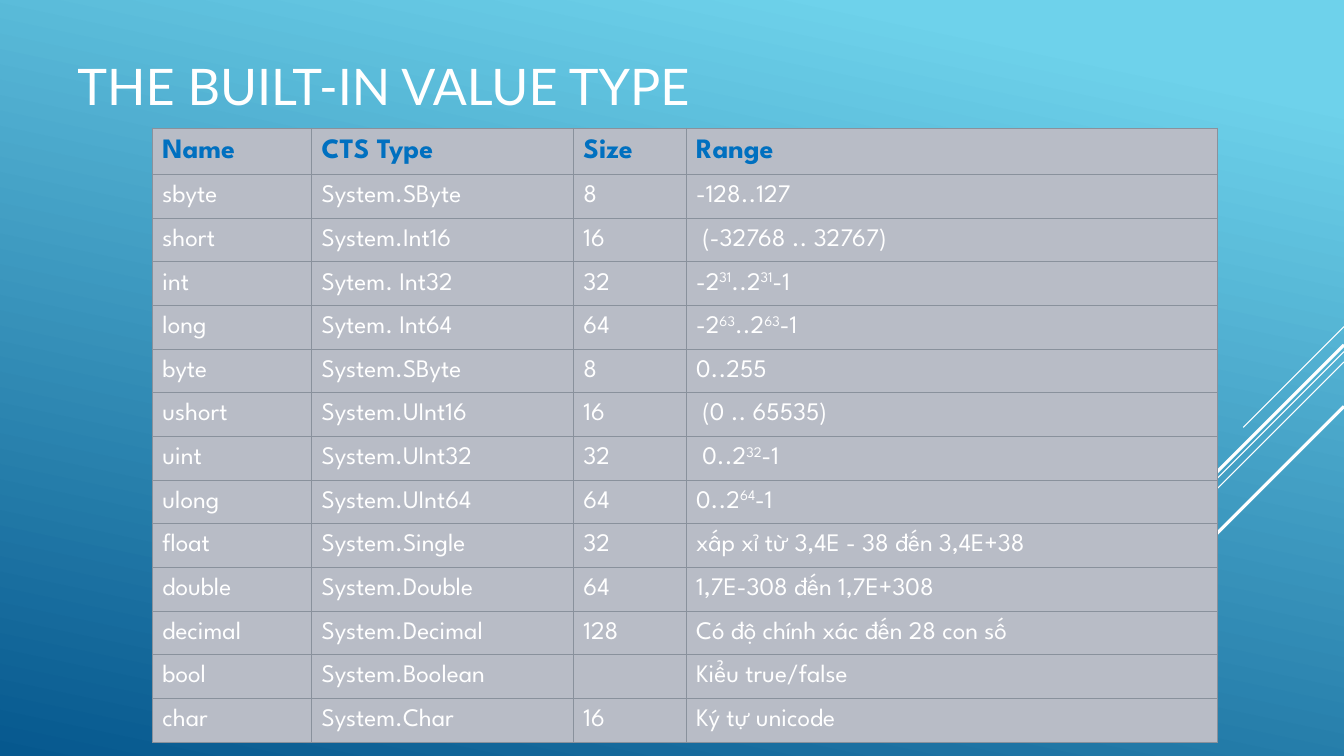
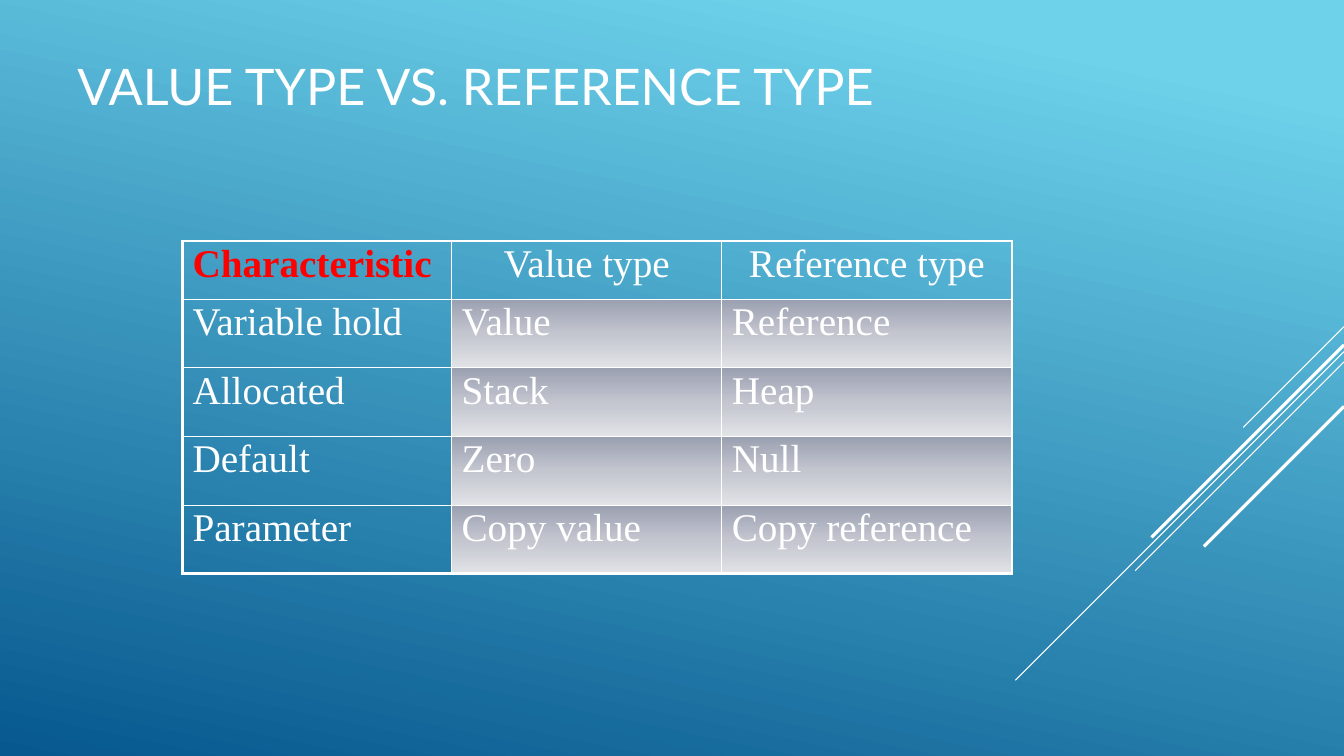
from copy import deepcopy
from dataclasses import dataclass

from lxml.etree import SubElement
from pptx import Presentation
from pptx.dml.color import RGBColor as Rgb
from pptx.enum.shapes import MSO_CONNECTOR as Connector
from pptx.enum.text import MSO_ANCHOR as Anchor, PP_ALIGN as Align
from pptx.oxml import parse_xml
from pptx.oxml.ns import nsdecls, qn
from pptx.util import Cm, Pt


@dataclass(frozen=True)
class Theme:
    white: Rgb = Rgb.from_string("FFFFFF")
    sky: Rgb = Rgb.from_string("6ED2EB")
    deep_blue: Rgb = Rgb.from_string("06588E")
    heading_blue: Rgb = Rgb.from_string("0070C0")
    red: Rgb = Rgb.from_string("FF0000")
    cell_grey: Rgb = Rgb.from_string("B8BCC6")
    border_grey: Rgb = Rgb.from_string("89919C")
    shades: tuple = tuple(map(Rgb.from_string, ("9BA0B1", "C3C5CF", "E2E3E7")))
    title_font: str = "Lato"
    types_font: str = "League Spartan"
    compare_font: str = "Times New Roman"
    title_size: Pt = Pt(36)
    types_head_size: Pt = Pt(20)
    types_size: Pt = Pt(18)
    compare_size: Pt = Pt(28)
    thin: Pt = Pt(0.75)
    inner: Pt = Pt(1)
    thick: Pt = Pt(2.25)


theme = Theme()


def add_grid(slide, left, top, widths, heights, rows, font_name, size):
    """Add a plain table; text between ^ marks is superscript."""
    grid = slide.shapes.add_table(
        len(rows), len(widths), Cm(left), Cm(top), Cm(sum(widths)), Cm(sum(heights))
    ).table
    grid.first_row = grid.horz_banding = False
    for column, width in zip(grid.columns, widths):
        column.width = Cm(width)
    for row, height, texts in zip(grid.rows, heights, rows):
        row.height = Cm(height)
        for cell, text in zip(row.cells, texts):
            cell.fill.background()
            paragraph = cell.text_frame.paragraphs[0]
            paragraph.line_spacing = 0.9
            paragraph.font.name = font_name
            paragraph.font.size = size
            paragraph.font.bold = False
            paragraph.font.color.rgb = theme.white
            for index, part in enumerate(text.split("^") if text else []):
                run = paragraph.add_run()
                run.text = part
                if index % 2:
                    run._r.get_or_add_rPr().set("baseline", "30000")
    return grid


def set_borders(cell, colour, widths, opacity=100):
    """Widths go left, right, top, bottom."""
    properties = cell._tc.get_or_add_tcPr()
    for index, (side, width) in enumerate(zip("LRTB", widths)):
        properties.insert(index, parse_xml(
            f'<a:ln{side} {nsdecls("a")} w="{int(width)}"><a:solidFill>'
            f'<a:srgbClr val="{colour}"><a:alpha val="{opacity * 1000}"/></a:srgbClr>'
            f'</a:solidFill><a:prstDash val="solid"/></a:ln{side}>'
        ))


deck = Presentation()
deck.slide_width, deck.slide_height = Cm(33.87), Cm(19.05)

backdrop = deck.slide_master.background.fill
backdrop.gradient()
backdrop.gradient_angle = 360 - 102
for stop, position, colour in zip(
    backdrop.gradient_stops, (0.1, 1), (theme.sky, theme.deep_blue)
):
    stop.position = position
    stop.color.rgb = colour

# Diagonals at 45 degrees: height at the right edge, reach, width
diagonals = [
    (8.23, 2.54, theme.thin),
    (8.86, 8.28, theme.thin),
    (9.12, 5.26, theme.thin),
    (8.69, 4.85, theme.thick),
    (10.24, 3.53, theme.thick),
]

slides = []
for title in ("THE BUILT-IN VALUE TYPE", "VALUE TYPE VS. REFERENCE TYPE"):
    slide = deck.slides.add_slide(deck.slide_layouts[6])
    for y, reach, width in diagonals:
        diagonal = slide.shapes.add_connector(
            Connector.STRAIGHT,
            deck.slide_width, Cm(y), deck.slide_width - Cm(reach), Cm(y + reach),
        )
        diagonal.line.color.rgb = theme.white
        diagonal.line.width = width
        SubElement(diagonal._element.spPr, qn("a:effectLst"))
    heading = slide.shapes.add_textbox(Cm(1.7), Cm(0.74), Cm(28.32), Cm(2.82)).text_frame
    heading.word_wrap = True
    heading.vertical_anchor = Anchor.MIDDLE
    heading.text = title
    title_font = heading.paragraphs[0].font
    title_font.name = theme.title_font
    title_font.size = theme.title_size
    title_font.color.rgb = theme.white
    slides.append(slide)

types_slide, compare_slide = slides

# Built-in value types
value_types = [
    ("Name", "CTS Type", "Size", "Range"),
    ("sbyte", "System.SByte", "8", "-128..127"),
    ("short", "System.Int16", "16", " (-32768 .. 32767)"),
    ("int", "Sytem. Int32", "32", "-2^31^..2^31^-1"),
    ("long", "Sytem. Int64", "64", "-2^63^..2^63^-1"),
    ("byte", "System.SByte", "8", "0..255"),
    ("ushort", "System.UInt16", "16", " (0 .. 65535)"),
    ("uint", "System.UInt32", "32", " 0..2^32^-1"),
    ("ulong", "System.UInt64", "64", "0..2^64^-1"),
    ("float", "System.Single", "32", "xấp xỉ từ 3,4E - 38 đến 3,4E+38"),
    ("double", "System.Double", "64", "1,7E-308 đến 1,7E+308"),
    ("decimal", "System.Decimal", "128", "Có độ chính xác đến 28 con số"),
    ("bool", "System.Boolean", "", "Kiểu true/false"),
    ("char", "System.Char", "16", "Ký tự unicode"),
]
types_grid = add_grid(
    types_slide, 3.84, 3.23, (4.01, 6.6, 2.84, 13.39),
    [1.17] + [1.1] * (len(value_types) - 1),
    value_types, theme.types_font, theme.types_size,
)
for cell in types_grid.iter_cells():
    cell.vertical_anchor = Anchor.MIDDLE
    cell.fill.solid()
    cell.fill.fore_color.rgb = theme.cell_grey
    set_borders(cell, theme.border_grey, [theme.thin] * 4, opacity=60)
for cell in types_grid.rows[0].cells:
    head_font = cell.text_frame.paragraphs[0].font
    head_font.size = theme.types_head_size
    head_font.bold = True
    head_font.color.rgb = theme.heading_blue

# Value type against reference type
comparison = [
    ("Characteristic", "Value type", "Reference type"),
    ("Variable hold", "Value", "Reference"),
    ("Allocated", "Stack", "Heap"),
    ("Default", "Zero", "Null"),
    ("Parameter", "Copy value", "Copy reference"),
]
compare_grid = add_grid(
    compare_slide, 4.6, 6.07, (6.78, 6.81, 7.31),
    [1.47] + [1.73] * (len(comparison) - 1),
    comparison, theme.compare_font, theme.compare_size,
)
last_row, last_column = len(comparison) - 1, len(comparison[0]) - 1
for row_index, row in enumerate(compare_grid.rows):
    for column_index, cell in enumerate(row.cells):
        if row_index and column_index:
            cell.fill.gradient()
            cell.fill.gradient_angle = 270
            stops = cell._tc.tcPr.find(".//" + qn("a:gsLst"))
            stops.insert(1, deepcopy(stops[0]))
            for stop, position, shade in zip(
                cell.fill.gradient_stops, (0, 0.5, 1), theme.shades
            ):
                stop.position = position
                stop.color.rgb = shade
        elif column_index:
            cell.text_frame.paragraphs[0].alignment = Align.CENTER
        outer_sides = (
            column_index == 0, column_index == last_column,
            row_index == 0, row_index == last_row,
        )
        set_borders(
            cell, theme.white,
            [theme.thick if outer else theme.inner for outer in outer_sides],
        )
corner_font = compare_grid.cell(0, 0).text_frame.paragraphs[0].font
corner_font.bold = True
corner_font.color.rgb = theme.red

deck.save("out.pptx")
